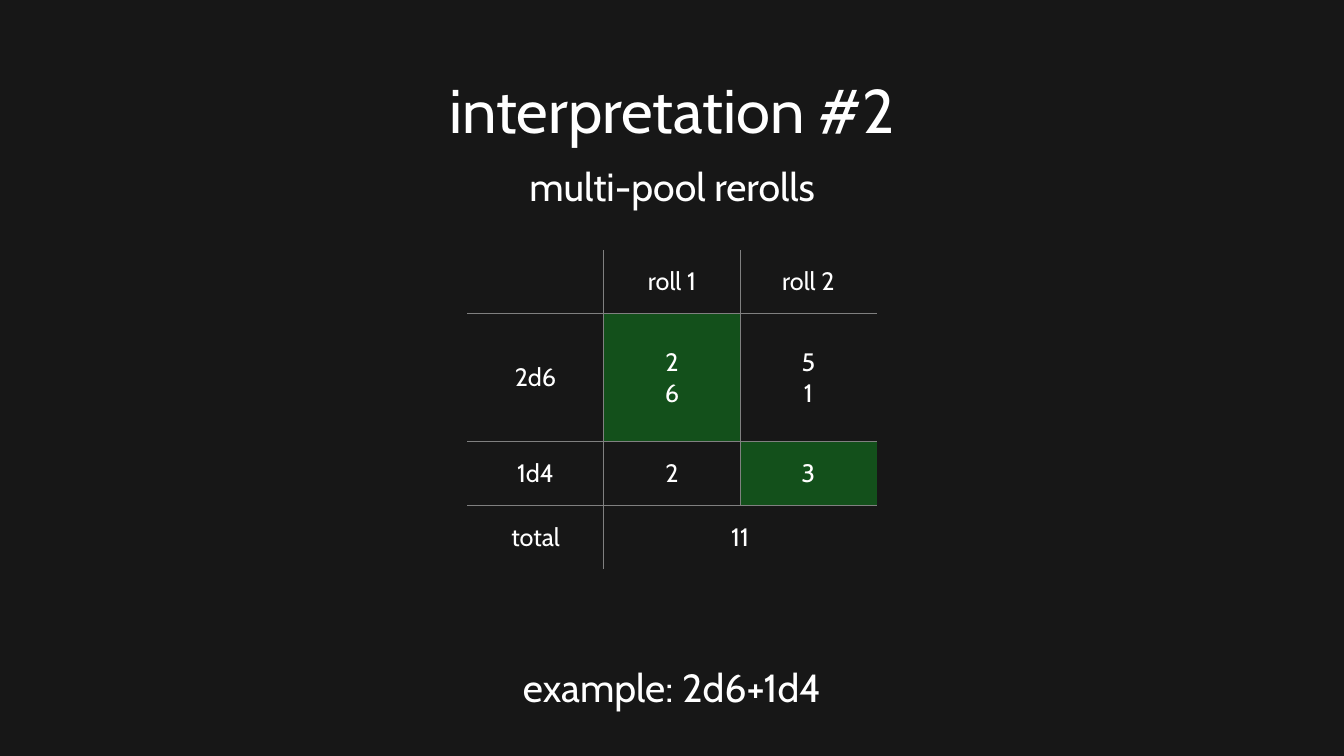
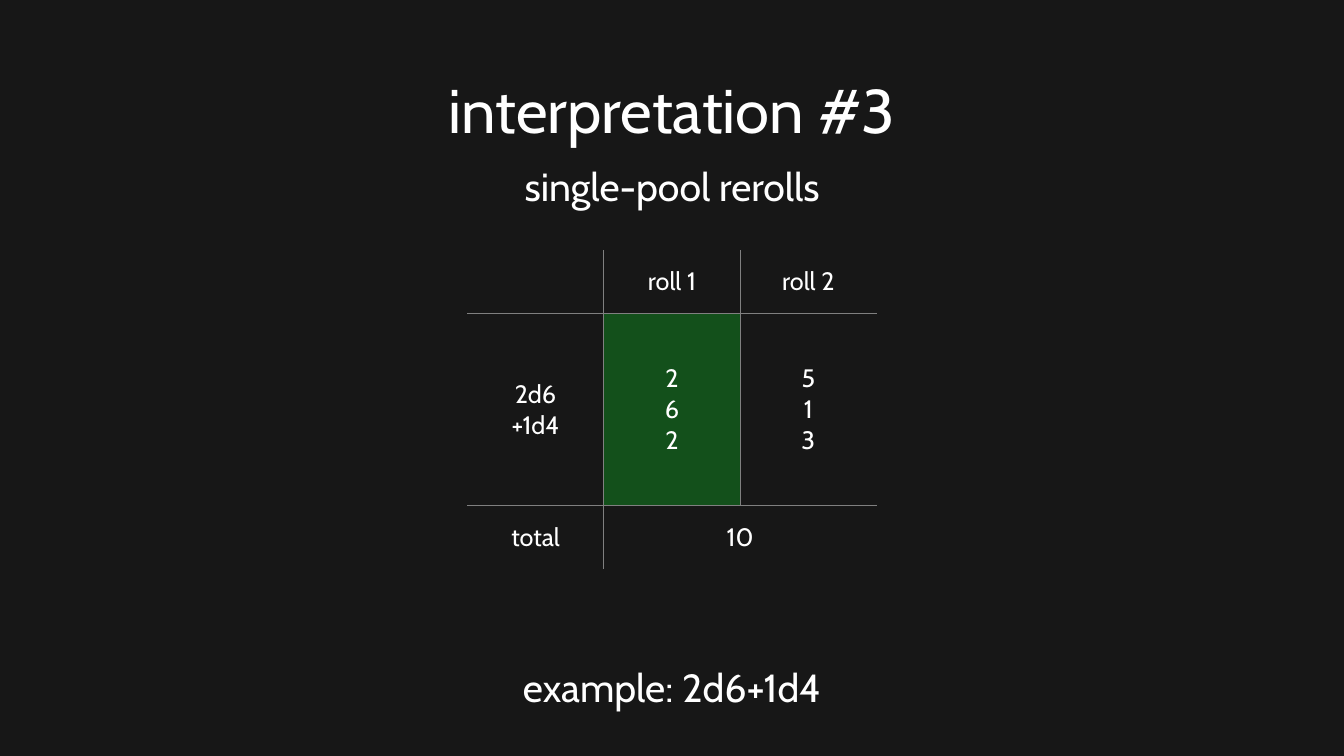
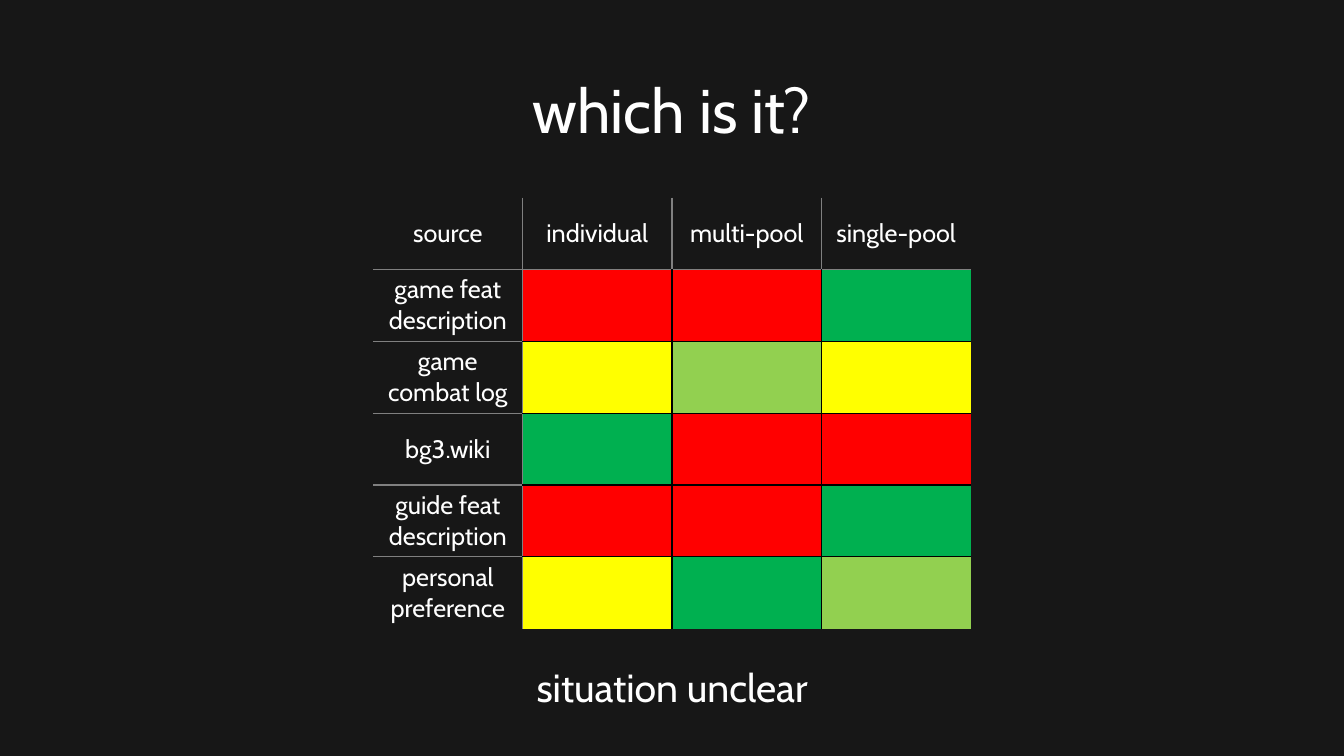
from pptx import Presentation
from pptx.dml.color import RGBColor
from pptx.enum.text import MSO_ANCHOR, MSO_AUTO_SIZE, PP_ALIGN
from pptx.oxml import parse_xml
from pptx.oxml.ns import nsdecls, qn
from pptx.util import Inches, Pt

DARK = RGBColor(0x17, 0x17, 0x17)
WHITE = RGBColor(0xFF, 0xFF, 0xFF)
GRAY = RGBColor(0x80, 0x80, 0x80)
BLACK = RGBColor(0x00, 0x00, 0x00)
TINTS = {
    "W": RGBColor(0x13, 0x50, 0x1B),
    "R": RGBColor(0xFF, 0x00, 0x00),
    "Y": RGBColor(0xFF, 0xFF, 0x00),
    "L": RGBColor(0x92, 0xD0, 0x50),
    "G": RGBColor(0x00, 0xB0, 0x50),
}
FONT = "Cabin"
PLAIN = "{2D5ABB26-0587-4C30-8999-92F81FD0307C}"


class Deck:
    def __init__(self):
        self.show = Presentation()
        self.show.slide_width = Inches(13.33)
        self.show.slide_height = Inches(7.5)
        self.slide = None

    def wide(self, share):
        return round(self.show.slide_width * share / 100)

    def high(self, share):
        return round(self.show.slide_height * share / 100)

    def start(self, title):
        self.slide = self.show.slides.add_slide(self.show.slide_layouts[6])
        fill = self.slide.background.fill
        fill.solid()
        fill.fore_color.rgb = DARK
        frame = self.text(title, 5.33, 19.33, 44)
        frame.paragraphs[0].line_spacing = 0.9

    def text(self, words, top, height, size):
        box = self.slide.shapes.add_textbox(
            self.wide(11.5), self.high(top), self.wide(77), self.high(height))
        frame = box.text_frame
        frame.word_wrap = True
        frame.vertical_anchor = MSO_ANCHOR.MIDDLE
        self.style(frame, words, size)
        return frame

    def line(self, words, top):
        frame = self.text(words, top, 7.6, 28)
        frame.auto_size = MSO_AUTO_SIZE.SHAPE_TO_FIT_TEXT

    def style(self, frame, words, size):
        frame.text = words
        for par in frame.paragraphs:
            par.alignment = PP_ALIGN.CENTER
            for run in par.runs:
                run.font.name = FONT
                run.font.size = Pt(size)
                run.font.color.rgb = WHITE

    def edge(self, cell, side, color):
        cell._tc.get_or_add_tcPr().append(parse_xml(
            f'<a:ln{side} {nsdecls("a")} w="{Pt(1)}"><a:solidFill>'
            f'<a:srgbClr val="{color}"/></a:solidFill></a:ln{side}>'))

    def table(self, rows, tints, top, col, row, spans=None, inner=GRAY, merge=False):
        count, total = len(rows[0]), len(rows)
        spans = spans or [1] * total
        shape = self.slide.shapes.add_table(
            total, count, self.wide((100 - col * count) / 2), self.high(top),
            self.wide(col * count), self.high(row * sum(spans)))
        next(shape._element.iter(qn("a:tableStyleId"))).text = PLAIN
        grid = shape.table
        for item in grid.columns:
            item.width = self.wide(col)
        for item, span in zip(grid.rows, spans):
            item.height = self.high(row * span)
        if merge:
            grid.cell(total - 1, 1).merge(grid.cell(total - 1, count - 1))
        for y, words in enumerate(rows):
            for x, word in enumerate(words):
                cell = grid.cell(y, x)
                if not cell.is_spanned:
                    self.style(cell.text_frame, word, 18)
                cell.vertical_anchor = MSO_ANCHOR.MIDDLE
                sides = {
                    "L": x > 0 and not cell.is_spanned and (y, x - 1),
                    "R": x < count - 1 and not cell.is_merge_origin and (y, x + 1),
                    "T": y > 0 and (y - 1, x),
                    "B": y < total - 1 and (y + 1, x),
                }
                for side, near in sides.items():
                    if near:
                        body = min(y, x, *near) > 0
                        self.edge(cell, side, inner if body else GRAY)
                tint = TINTS.get(tints[y][x])
                if tint is None:
                    cell.fill.background()
                else:
                    cell.fill.solid()
                    cell.fill.fore_color.rgb = tint

    def rolls(self, title, note, rows, tints, spans):
        self.start(title)
        head = ("", "roll 1", "roll 2")
        self.table([head, *rows], ["...", *tints, "..."], 33.07, 10.15, 8.45,
                   [1, *spans, 1], merge=True)
        self.line(note, 20.8)
        self.line("example: 2d6+1d4", 87.07)


def main():
    deck = Deck()
    deck.rolls(
        "interpretation #2", "multi-pool rerolls",
        [("2d6", "2\n6", "5\n1"), ("1d4", "2", "3"), ("total", "11", "")],
        [".W.", "..W"], [2, 1])
    deck.rolls(
        "interpretation #3", "single-pool rerolls",
        [("2d6\n+1d4", "2\n6\n2", "5\n1\n3"), ("total", "10", "")],
        [".W."], [3])
    deck.start("which is it?")
    deck.line("situation unclear", 87.07)
    names = ("game feat description", "game combat log", "bg3.wiki",
             "guide feat description", "personal preference")
    deck.table(
        [("source", "individual", "multi-pool", "single-pool"),
         *((name, "", "", "") for name in names)],
        ["....", ".RRG", ".YLY", ".GRR", ".RRG", ".YGL"],
        26.13, 11.12, 9.51, inner=BLACK)
    deck.show.save("out.pptx")


if __name__ == "__main__":
    main()
